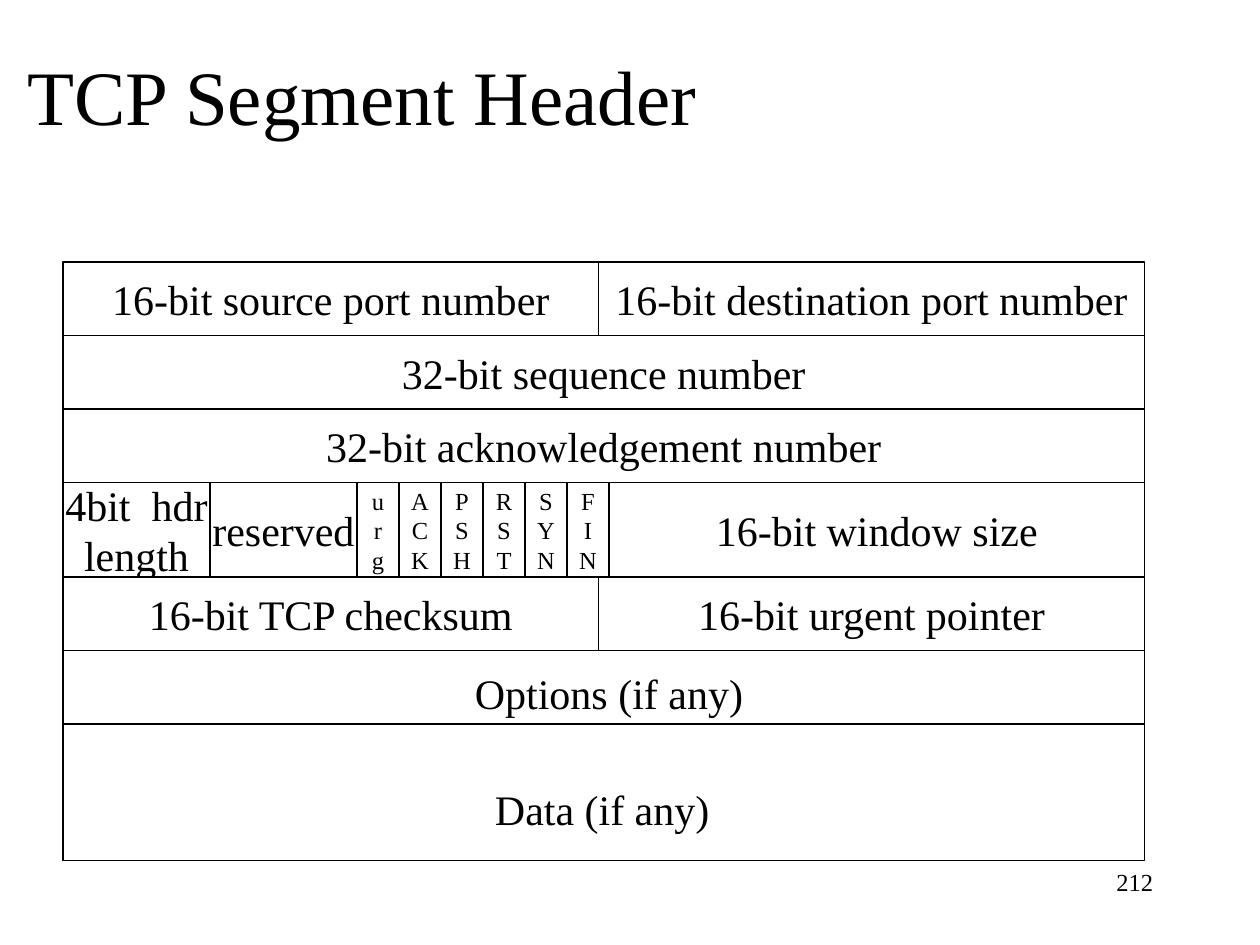
from pptx import Presentation
from pptx import util as u
from pptx.dml import color
from pptx.enum import shapes, text

COLORS = {"ink": "000000", "paper": "FFFFFF"}
FONT = "Times New Roman"
UNIT = u.Inches(1) / 12
LEFT = PP = text.PP_ALIGN.LEFT
CENTER = text.PP_ALIGN.CENTER
RIGHT = text.PP_ALIGN.RIGHT

HEADER_ROWS = [
    (7, [(51, "16-bit source port number"), (52, "16-bit destination port number")]),
    (7, [(103, "32-bit sequence number")]),
    (7, [(103, "32-bit acknowledgement number")]),
    (9, [(14, "4bit  hdr\nlength"), (14, "reserved")]
        + [(4, "\n".join(flag)) for flag in ("urg", "ACK", "PSH", "RST", "SYN", "FIN")]
        + [(51, "16-bit window size")]),
    (7, [(51, "16-bit TCP checksum"), (52, "16-bit urgent pointer")]),
    (7, [(103, "")]),
    (13, [(103, "")]),
]
FLAG_WIDTH = 4


def rgb(name):
    return color.RGBColor.from_string(COLORS[name])


def write(frame, words, size, alignment):
    frame.text = words
    for paragraph in frame.paragraphs:
        paragraph.alignment = alignment
        for run in paragraph.runs:
            run.font.size = u.Pt(size)
            run.font.name = FONT
            run.font.color.rgb = rgb("ink")


def add_title(slide, words, left, top, width, height):
    title = slide.shapes.title
    title.left, title.top, title.width, title.height = left, top, width, height
    title.text_frame.vertical_anchor = text.MSO_ANCHOR.MIDDLE
    write(title.text_frame, words, 44, LEFT)


def add_field(slide, words, size, left, top, width, height):
    shape = slide.shapes.add_shape(
        shapes.MSO_SHAPE.RECTANGLE, left, top, width, height)
    shape.shadow.inherit = False
    shape.fill.solid()
    shape.fill.fore_color.rgb = rgb("paper")
    shape.line.color.rgb = rgb("ink")
    shape.line.width = u.Pt(0.75)
    if words:
        shape.text_frame.word_wrap = False
        shape.text_frame.vertical_anchor = text.MSO_ANCHOR.MIDDLE
        write(shape.text_frame, words, size, CENTER)


def add_segment(slide, left, top):
    for row_units, fields in HEADER_ROWS:
        height = round(row_units * UNIT)
        field_left = left
        for field_units, words in fields:
            width = round(field_units * UNIT)
            size = 14 if field_units == FLAG_WIDTH else 24
            add_field(slide, words, size, field_left, top, width, height)
            field_left += width
        top += height


def add_label(slide, words, size, alignment, wrap, left, top, width, height):
    label = slide.shapes.add_textbox(left, top, width, height)
    label.text_frame.word_wrap = wrap
    write(label.text_frame, words, size, alignment)


def main():
    presentation = Presentation()
    presentation.slide_width = u.Inches(10)
    presentation.slide_height = u.Inches(7.5)
    slide = presentation.slides.add_slide(presentation.slide_layouts[5])

    add_title(slide, "TCP Segment Header",
              u.Inches(0.12), u.Inches(0.13), u.Inches(8.5), u.Inches(1.25))
    add_segment(slide, u.Inches(0.5), u.Inches(2.08))
    add_label(slide, "Options (if any)", 24, LEFT, False,
              u.Inches(3.67), u.Inches(5.25), u.Inches(2.33), u.Inches(0.5))
    add_label(slide, "Data (if any)", 24, LEFT, False,
              u.Inches(3.83), u.Inches(6.17), u.Inches(1.9), u.Inches(0.5))
    add_label(slide, "212", 14, RIGHT, True,
              u.Inches(7.17), u.Inches(6.83), u.Inches(2.08), u.Inches(0.5))

    presentation.save("out.pptx")


if __name__ == "__main__":
    main()
